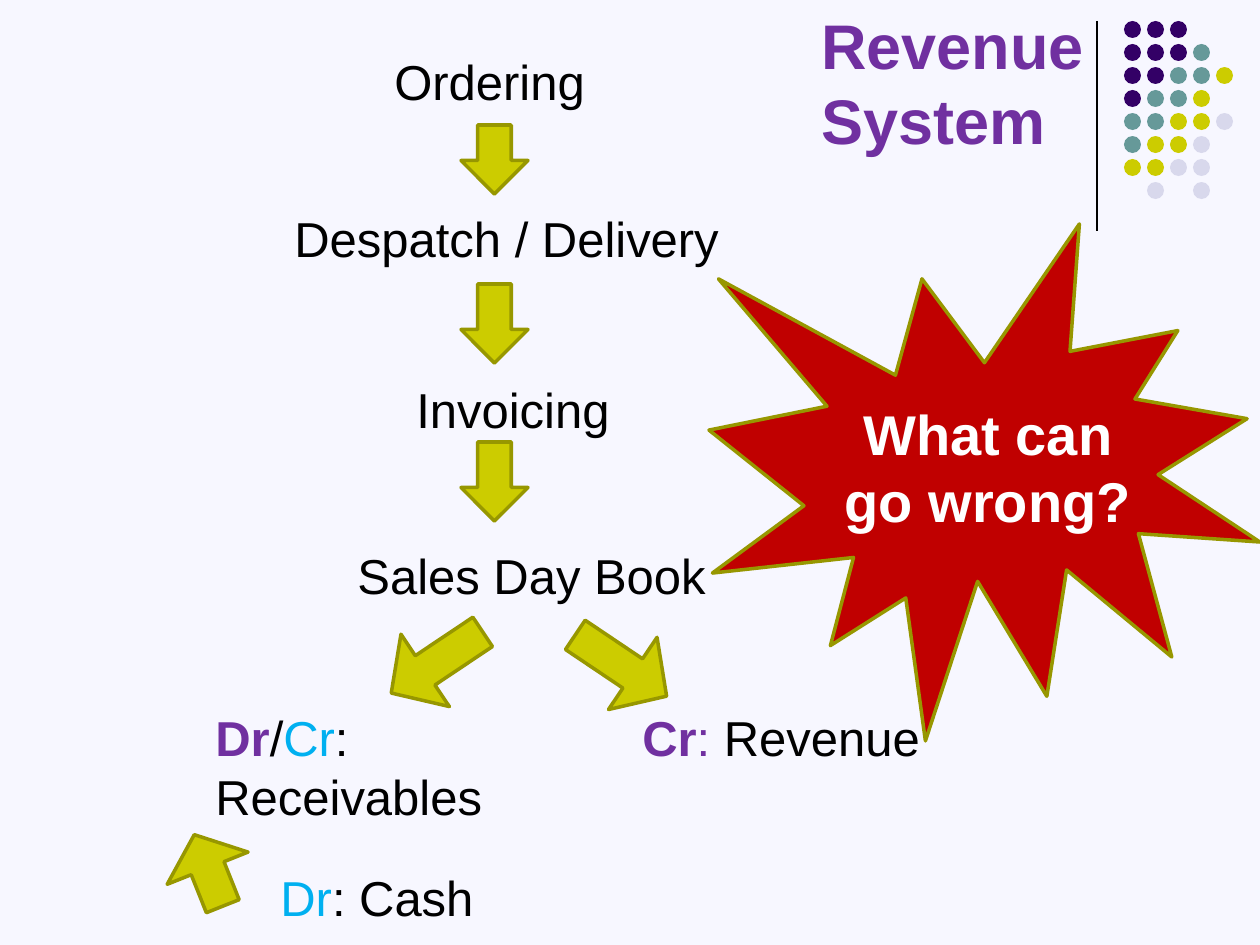
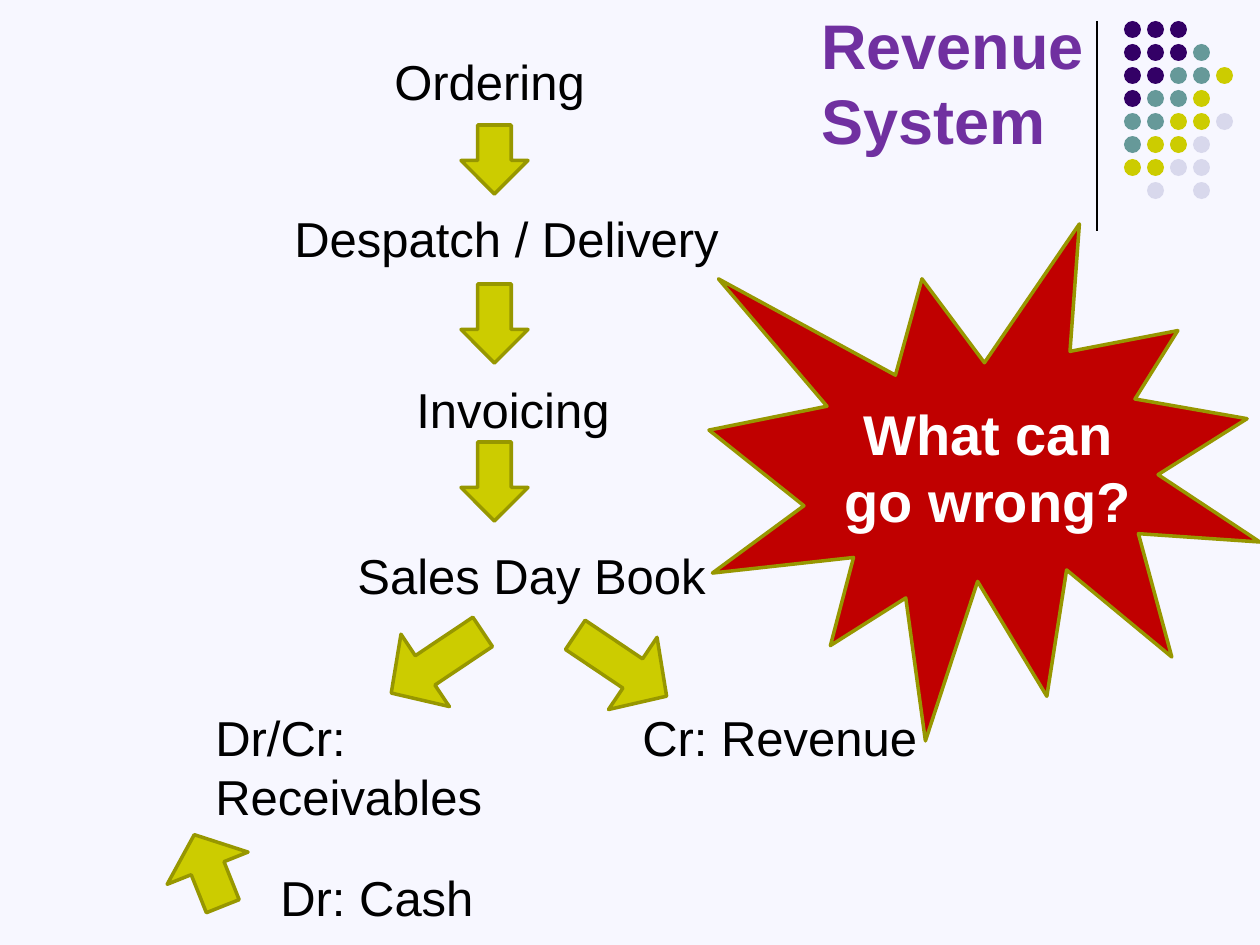
from dataclasses import dataclass
from lxml import etree
from pptx import Presentation
from pptx import util as u
from pptx.dml.color import RGBColor
from pptx.enum import shapes, text
from pptx.oxml import ns

PX = u.Inches(1) // 126
SHAPE = shapes.MSO_SHAPE


@dataclass(frozen=True)
class Theme:
    font: str = "Arial"
    background: str = "F7F7FF"
    ink: str = "000000"
    purple: str = "7030A0"
    blue: str = "00B0F0"
    white: str = "FFFFFF"
    arrow: str = "CCCC00"
    outline: str = "979700"
    burst: str = "C00000"
    indigo: str = "330066"
    teal: str = "669999"
    mist: str = "D8D8EC"
    body_size: int = 28
    burst_size: int = 32
    title_size: int = 36
    outline_width: int = 2


THEME = Theme()
DOT_COLOURS = {"I": THEME.indigo, "T": THEME.teal, "Y": THEME.arrow, "M": THEME.mist}
DOT_ROWS = ("III", "IIIT", "IITTY", "ITTY", "TTYYM", "TYYM", "YYMM", " M M")
DOT_LEFT, DOT_TOP, DOT_SIZE, DOT_PITCH = 1124, 21, 17, 23

STEPS = (
    ("Ordering", (382, 45, 238, 72)),
    ("Despatch / Delivery", (282, 202, 476, 72)),
    ("Invoicing", (404, 373, 226, 72)),
    ("Sales Day Book", (345, 539, 486, 72)),
)
DOWN_ARROWS = ((125, 69), (284, 79), (442, 79))
TURNED_ARROWS = (
    ((382, 619, 110, 87), 326.2),
    ((566, 622, 110, 87), 213.9),
    ((170, 827, 77, 87), 68.3),
)
ENTRIES = (
    ((203, 701, 348, 131),
     (("Dr", THEME.purple, True), ("/", THEME.ink, False),
      ("Cr", THEME.blue, False), (": Receivables", THEME.ink, False))),
    ((268, 861, 348, 72),
     (("Dr", THEME.blue, False), (": Cash", THEME.ink, False))),
    ((630, 701, 407, 72),
     (("Cr", THEME.purple, True), (": ", THEME.purple, False),
      ("Revenue", THEME.ink, False))),
)


def rgb(value):
    return RGBColor.from_string(value)


def emu(lengths):
    return [u.Emu(length * PX) for length in lengths]


def add_filled(parent, kind, frame, fill, outlined=True):
    shape = parent.add_shape(kind, *emu(frame))
    shape.shadow.inherit = False
    shape.fill.solid()
    shape.fill.fore_color.rgb = rgb(fill)
    if outlined:
        shape.line.color.rgb = rgb(THEME.outline)
        shape.line.width = u.Pt(THEME.outline_width)
    else:
        shape.line.fill.background()
    return shape


def add_text(slide, frame, spans, size=THEME.body_size, align=text.PP_ALIGN.LEFT):
    box = slide.shapes.add_textbox(*emu(frame))
    box.text_frame.word_wrap = True
    box.text_frame.auto_size = text.MSO_AUTO_SIZE.SHAPE_TO_FIT_TEXT
    para = box.text_frame.paragraphs[0]
    para.alignment = align
    para.font.name = THEME.font
    para.font.size = u.Pt(size)
    for words, colour, bold in spans:
        span = para.add_run()
        span.text = words
        span.font.name = THEME.font
        span.font.size = u.Pt(size)
        span.font.color.rgb = rgb(colour)
        span.font.bold = bold


def add_corner(slide):
    rule = slide.shapes.add_connector(
        shapes.MSO_CONNECTOR.STRAIGHT, *emu((1097, 21, 1097, 231)))
    rule.line.color.rgb = rgb(THEME.ink)
    rule.line.width = u.Pt(0.75)
    etree.SubElement(rule.element.spPr, ns.qn("a:effectLst"))

    dots = slide.shapes.add_group_shape()
    for row, codes in enumerate(DOT_ROWS):
        for column, code in enumerate(codes):
            if code in DOT_COLOURS:
                frame = (DOT_LEFT + column * DOT_PITCH, DOT_TOP + row * DOT_PITCH,
                         DOT_SIZE, DOT_SIZE)
                add_filled(dots.shapes, SHAPE.OVAL, frame, DOT_COLOURS[code], False)


def add_arrows(slide):
    for top, height in DOWN_ARROWS:
        add_filled(slide.shapes, SHAPE.DOWN_ARROW, (461, top, 67, height), THEME.arrow)
    for frame, angle in TURNED_ARROWS:
        arrow = add_filled(slide.shapes, SHAPE.LEFT_ARROW, frame, THEME.arrow)
        arrow.adjustments[0] = 0.405
        arrow.adjustments[1] = 0.469
        arrow.rotation = angle


def add_entries(slide, highlighted):
    for frame, spans in ENTRIES:
        if not highlighted:
            words = "".join(span[0] for span in spans)
            spans = ((words, THEME.ink, False),)
        add_text(slide, frame, spans)


def add_burst(slide):
    add_filled(slide.shapes, SHAPE.EXPLOSION1, (709, 224, 551, 517), THEME.burst)
    add_text(slide, (831, 393, 314, 149), (("What can go wrong?", THEME.white, True),),
             THEME.burst_size, text.PP_ALIGN.CENTER)


def add_revenue_slide(deck, highlighted):
    slide = deck.slides.add_slide(deck.slide_layouts[6])
    add_corner(slide)
    for step, frame in STEPS:
        add_text(slide, frame, ((step, THEME.ink, False),))
    add_arrows(slide)
    add_entries(slide, highlighted)
    add_text(slide, (809, 0, 317, 165), (("Revenue System", THEME.purple, True),),
             THEME.title_size)
    add_burst(slide)


def main():
    deck = Presentation()
    deck.slide_width, deck.slide_height = emu((1260, 945))
    backdrop = deck.slide_master.background.fill
    backdrop.solid()
    backdrop.fore_color.rgb = rgb(THEME.background)
    for highlighted in (True, False):
        add_revenue_slide(deck, highlighted)
    deck.save("out.pptx")


main()
